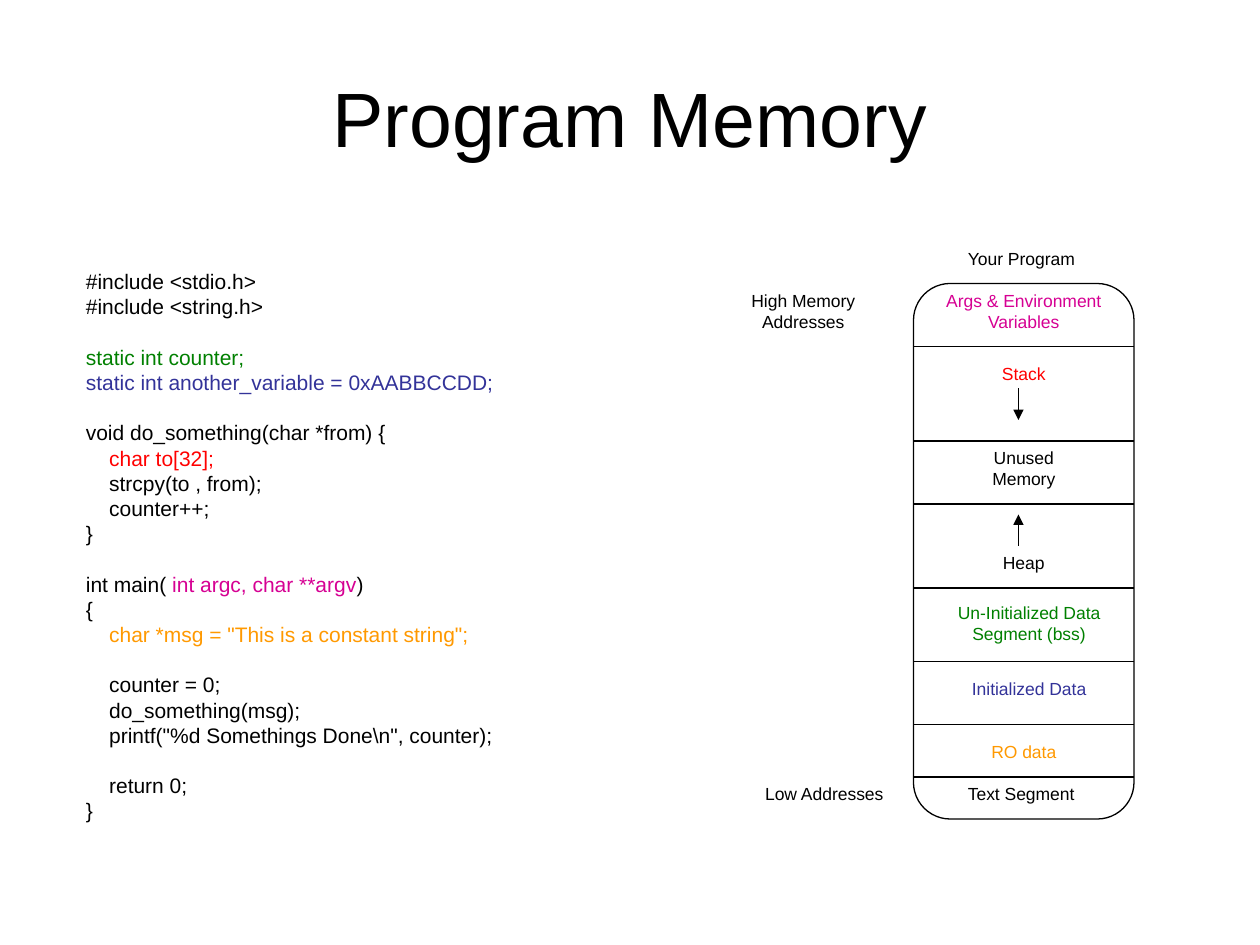
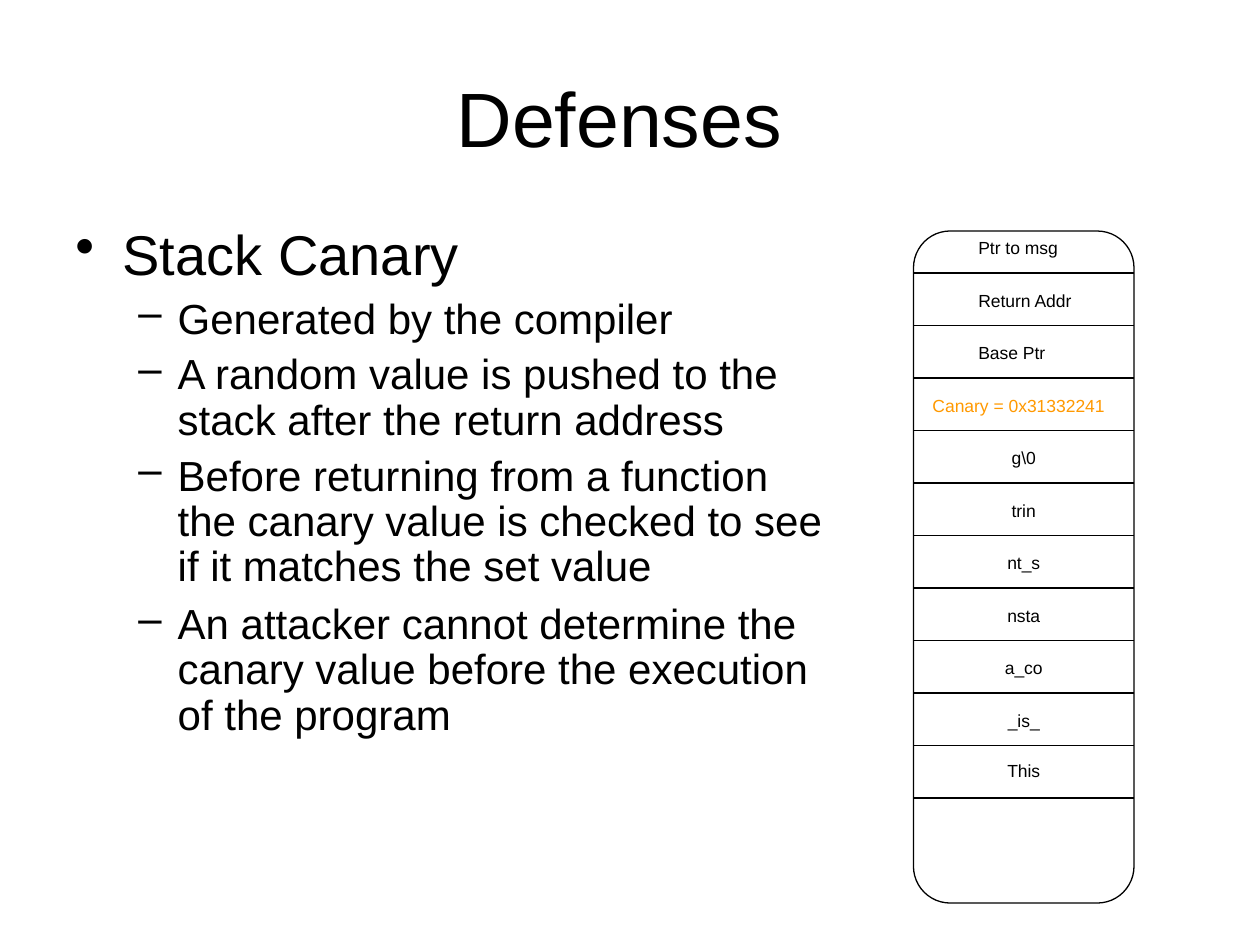
from dataclasses import dataclass

from lxml import etree
from pptx import Presentation
from pptx import util as u
from pptx.dml.color import RGBColor
from pptx.enum import shapes, text
from pptx.oxml import ns


@dataclass(frozen=True)
class Theme:
    font: str = "Arial"
    ink: str = "000000"
    pink: str = "D60093"
    red: str = "FF0000"
    green: str = "008000"
    blue: str = "333399"
    gold: str = "FF9900"
    title: int = 44
    head: int = 32
    body: int = 24
    code: int = 12
    label: int = 10
    line: float = 0.75


look = Theme()
left, center = text.PP_ALIGN.LEFT, text.PP_ALIGN.CENTER


def add_box(page, x, y, wide, high):
    frame = page.shapes.add_textbox(u.Pt(x), u.Pt(y), u.Pt(wide), u.Pt(high)).text_frame
    frame.word_wrap = True
    return frame


def style(para, size, hue=look.ink, side=left):
    para.alignment = side
    para.font.name = look.font
    para.font.size = u.Pt(size)
    para.font.color.rgb = RGBColor.from_string(hue)


deck = Presentation()
deck.slide_width, deck.slide_height = u.Pt(720), u.Pt(540)

edge, span = 522, 126
tall, short = 31.2, 19.2

memory = [
    ("Your Program", 546, 138, 78, short, look.ink, left),
    ("High Memory Addresses", 420, 162, 78, tall, look.ink, center),
    ("Low Addresses", 420, 444, 102, short, look.ink, center),
    ("Args & Environment Variables", 516, 162, 138, tall, look.pink, center),
    ("Stack", 546, 204, 78, short, look.red, center),
    ("Unused Memory", 546, 252, 78, tall, look.ink, center),
    ("Heap", 546, 312, 78, short, look.ink, center),
    ("Un-Initialized Data Segment (bss)", 528, 340.5, 120, tall, look.green, center),
    ("Initialized Data", 528, 384, 120, short, look.blue, center),
    ("RO data", 546, 420, 78, short, look.gold, center),
    ("Text Segment", 546, 444, 78, short, look.ink, left),
]

step, top = 30, 132
stack = []
for i, word in enumerate(["Ptr to msg", "Return Addr", "Base Ptr"]):
    stack.append((word, 552, top + i * step, 78, short, look.ink, left))
stack.append(("Canary = 0x31332241", edge, top + 3 * step, 120, short, look.gold, center))
for i, word in enumerate(["g\\0", "trin", "nt_s", "nsta", "a_co", "_is_"], 4):
    stack.append((word, 546, top + i * step, 78, short, look.ink, center))
stack.append(("This", 546, 430.5, 78, short, look.ink, center))

plans = [
    ("Program Memory", 162, 306, [198, 252, 288, 336, 378, 414, 444],
     [(222, 240), (312, 294)], memory),
    ("Defenses ", top, 384, [156 + i * step for i in range(11)], [], stack),
]

for title, start, high, cuts, arrows, labels in plans:
    page = deck.slides.add_slide(deck.slide_layouts[6])
    frame = add_box(page, 36, 21.6, 648, 90)
    frame.vertical_anchor = text.MSO_ANCHOR.MIDDLE
    frame.text = title
    style(frame.paragraphs[0], look.title, side=center)

    block = page.shapes.add_shape(
        shapes.MSO_SHAPE.ROUNDED_RECTANGLE, u.Pt(edge), u.Pt(start), u.Pt(span), u.Pt(high))
    block.shadow.inherit = False
    block.fill.background()
    block.line.color.rgb = RGBColor.from_string(look.ink)
    block.line.width = u.Pt(look.line)

    rules = [(edge, y, edge + span, y, False) for y in cuts]
    rules += [(582, tail, 582, tip, True) for tail, tip in arrows]
    for x, y, end, stop, arrow in rules:
        rule = page.shapes.add_connector(
            shapes.MSO_CONNECTOR.STRAIGHT, u.Pt(x), u.Pt(y), u.Pt(end), u.Pt(stop))
        rule.line.color.rgb = RGBColor.from_string(look.ink)
        rule.line.width = u.Pt(look.line)
        if arrow:
            etree.SubElement(rule.line._get_or_add_ln(), ns.qn("a:tailEnd"), type="triangle")
        etree.SubElement(rule._element.spPr, ns.qn("a:effectLst"))

    for word, x, y, wide, deep, hue, side in labels:
        frame = add_box(page, x, y, wide, deep)
        frame.text = word
        style(frame.paragraphs[0], look.label, hue, side)

first, last = deck.slides

code = [
    [("#include <stdio.h>", look.ink)],
    [("#include <string.h>", look.ink)],
    [],
    [("static int counter;", look.green)],
    [("static int another_variable = 0xAABBCCDD;", look.blue)],
    [],
    [("void do_something(char *from) {", look.ink)],
    [("    char to[32];", look.red)],
    [("    strcpy(to , from);", look.ink)],
    [("    counter++;", look.ink)],
    [("}", look.ink)],
    [],
    [("int main( ", look.ink), ("int argc, char **argv", look.pink), (")", look.ink)],
    [("{", look.ink)],
    [('    char *msg = "This is a constant string";', look.gold)],
    [],
    [("    counter = 0;", look.ink)],
    [("    do_something(msg);", look.ink)],
    [('    printf("%d Somethings Done\\n", counter);', look.ink)],
    [],
    [("    return 0;", look.ink)],
    [("}", look.ink)],
]
frame = add_box(first, 42, 150, 318, 346)
para, gap = frame.paragraphs[0], 0
for i, parts in enumerate(code):
    if not parts:
        gap = 14.4
        continue
    if i:
        para = frame.add_paragraph()
        para.space_before = u.Pt(gap)
    gap = 0
    style(para, look.code, parts[0][1])
    for word, hue in parts:
        run = para.add_run()
        run.text = word
        if hue != parts[0][1]:
            run.font.color.rgb = RGBColor.from_string(hue)

points = [
    ("Stack Canary", 0, 0),
    ("Generated by the compiler", 1, 6),
    ("A random value is pushed to the\vstack after the return address", 1, 6),
    ("Before returning from a function\vthe canary value is checked to see\v"
     "if it matches the set value", 1, 6),
    ("An attacker cannot determine the\vcanary value before the execution\v"
     "of the program", 1, 7),
]
levels = [("•", 27, -27, look.head), ("–", 58.5, -22.5, look.body)]
frame = add_box(last, 36, 126, 648, 356.4)
for i, (words, level, gap) in enumerate(points):
    mark, inset, hang, size = levels[level]
    para = frame.add_paragraph() if i else frame.paragraphs[0]
    para.text = words
    para.level = level
    props = para._p.get_or_add_pPr()
    props.set("marL", str(u.Pt(inset)))
    props.set("indent", str(u.Pt(hang)))
    etree.SubElement(props, ns.qn("a:buChar"), char=mark)
    para.line_spacing = 0.9
    if i:
        para.space_before = u.Pt(gap)
    style(para, size)

deck.save("out.pptx")
